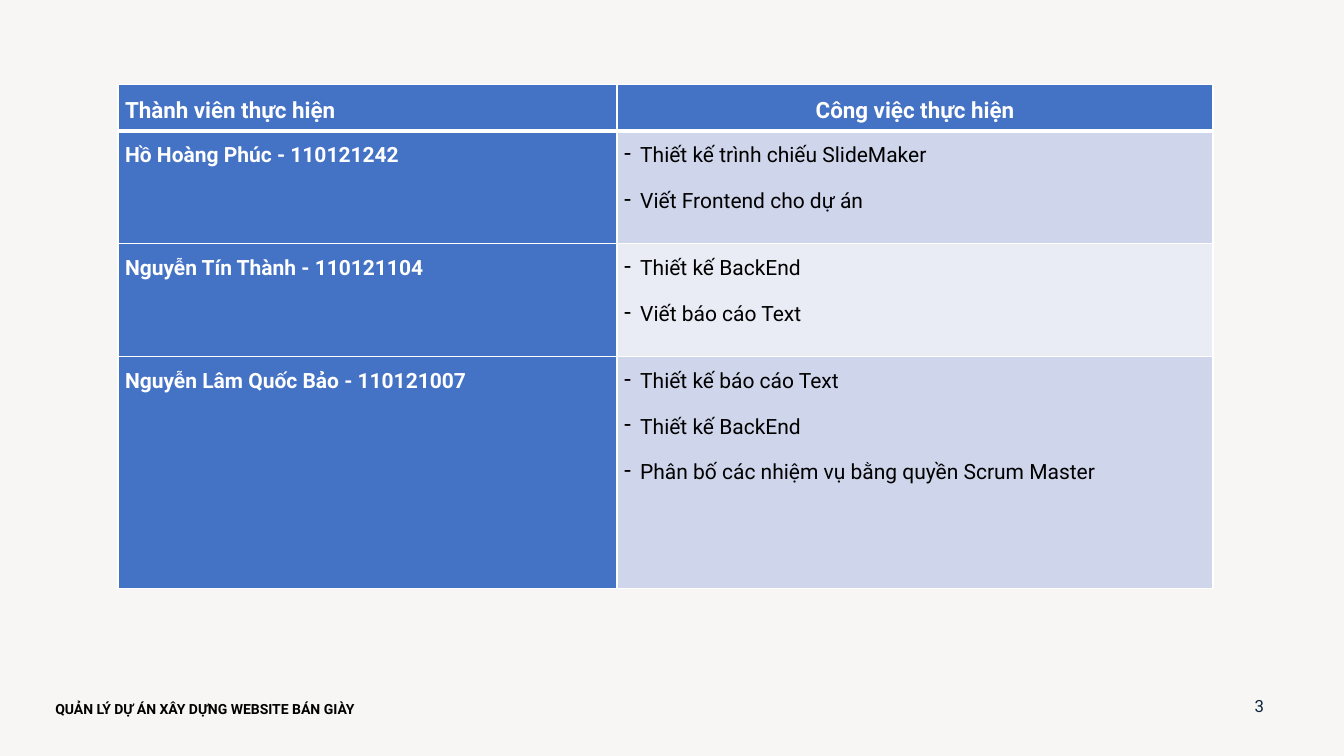
from pptx import Presentation
from pptx.dml.color import RGBColor
from pptx.enum.text import MSO_ANCHOR, PP_ALIGN
from pptx.oxml import parse_xml
from pptx.oxml.ns import nsdecls
from pptx.util import Inches, Pt

CENTER, JUSTIFY, LEFT = PP_ALIGN.CENTER, PP_ALIGN.JUSTIFY, PP_ALIGN.LEFT
TOP, MIDDLE = MSO_ANCHOR.TOP, MSO_ANCHOR.MIDDLE
WHITE = RGBColor(0xFF, 0xFF, 0xFF)
BLACK = RGBColor(0x00, 0x00, 0x00)
NAVY = RGBColor(0x0F, 0x25, 0x3E)
BLUE = RGBColor(0x44, 0x72, 0xC4)
DARK_BAND = RGBColor(0xCF, 0xD5, 0xEA)
LIGHT_BAND = RGBColor(0xE9, 0xEB, 0xF5)
CREAM = RGBColor(0xF8, 0xF6, 0xF5)
INDENT = Inches(0.16)


def style(para, size, color, bold, align):
    para.alignment = align
    font = para.font
    for run in para.runs:
        font = run.font
        font.name, font.size, font.bold = "Roboto", Pt(size), bold
        font.color.rgb = color


def fill_cell(cell, lines, fill, size, color, bold, align, edges, dashes=False):
    cell.margin_left = cell.margin_right = Inches(0.07)
    cell.margin_top = cell.margin_bottom = 0
    props = cell._tc.get_or_add_tcPr()
    for side, width in edges.items():
        props.append(parse_xml(
            f'<a:ln{side} {nsdecls("a")} w="{Pt(width)}"><a:solidFill>'
            f'<a:srgbClr val="{WHITE}"/></a:solidFill></a:ln{side}>'))
    cell.fill.solid()
    cell.fill.fore_color.rgb = fill
    cell.text_frame.text = "\n".join(lines)
    for i, para in enumerate(cell.text_frame.paragraphs):
        para.line_spacing = 1.5
        para.space_before = Pt(3 if i else 0)
        para.space_after = Pt(3)
        if dashes:
            pr = para._p.get_or_add_pPr()
            pr.set("marL", str(INDENT))
            pr.set("indent", str(-INDENT))
            pr.append(parse_xml(f'<a:buChar {nsdecls("a")} char="-"/>'))
        style(para, size, color, bold, align)


prs = Presentation()
prs.slide_width, prs.slide_height = Inches(13.33), Inches(7.5)
slide = prs.slides.add_slide(prs.slide_layouts[6])
slide.background.fill.solid()
slide.background.fill.fore_color.rgb = CREAM

# Members and their tasks
team = [
    ("Hồ Hoàng Phúc - 110121242",
     ["Thiết kế trình chiếu SlideMaker", "Viết Frontend cho dự án"]),
    ("Nguyễn Tín Thành - 110121104",
     ["Thiết kế BackEnd", "Viết báo cáo Text"]),
    ("Nguyễn Lâm Quốc Bảo - 110121007",
     ["Thiết kế báo cáo Text", "Thiết kế BackEnd",
      "Phân bố các nhiệm vụ bằng quyền Scrum Master"]),
]

# Table grid
table = slide.shapes.add_table(
    len(team) + 1, 2, Inches(1.17), Inches(0.84), Inches(10.86), Inches(5)).table
for col, width in zip(table.columns, (4.95, 5.91)):
    col.width = Inches(width)
for row, height in zip(table.rows, (0.46, 1.12, 1.12, 2.3)):
    row.height = Inches(height)

# Header row
head = {"L": 1, "R": 1, "T": 1, "B": 3}
fill_cell(table.cell(0, 0), ["Thành viên thực hiện"], BLUE, 16, WHITE, True,
          JUSTIFY, head)
fill_cell(table.cell(0, 1), ["Công việc thực hiện"], BLUE, 16, WHITE, True,
          CENTER, head)

# Member rows
for r, (name, tasks) in enumerate(team, 1):
    edges = {"L": 1, "R": 1, "T": 3 if r == 1 else 1, "B": 1}
    band = DARK_BAND if r % 2 else LIGHT_BAND
    fill_cell(table.cell(r, 0), [name], BLUE, 15, WHITE, True, JUSTIFY, edges)
    fill_cell(table.cell(r, 1), tasks, band, 15, BLACK, False, JUSTIFY, edges,
              dashes=True)

# Footer and page number
notes = [
    ("QUẢN LÝ DỰ ÁN XÂY DỰNG WEBSITE BÁN GIÀY",
     (0.45, 6.9, 3.36, 0.4), 10, BLACK, True, LEFT, TOP),
    ("3", (12.24, 6.8, 0.5, 0.4), 12, NAVY, False, CENTER, MIDDLE),
]
for text, place, size, color, bold, align, anchor in notes:
    frame = slide.shapes.add_textbox(*map(Inches, place)).text_frame
    frame.word_wrap = True
    frame.vertical_anchor = anchor
    frame.text = text
    style(frame.paragraphs[0], size, color, bold, align)

prs.save("out.pptx")
